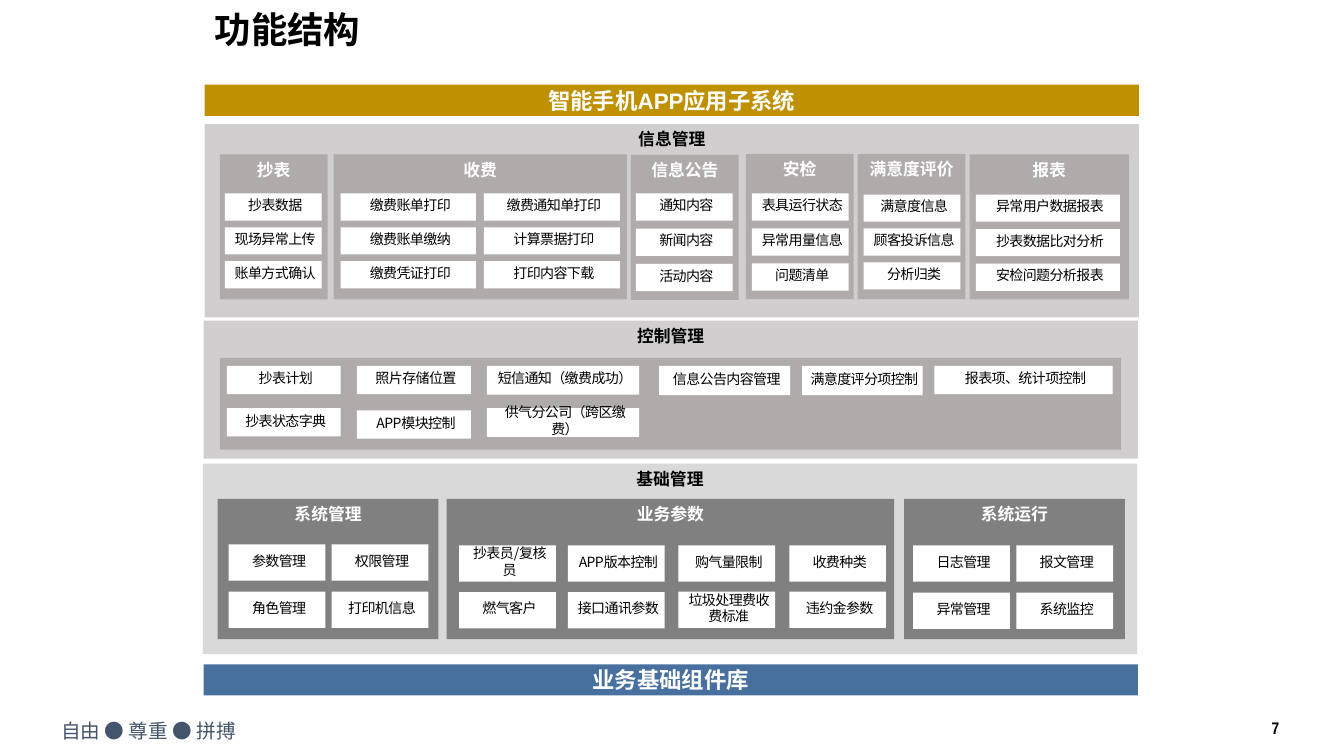
"""Build the function structure slide of a smartphone meter-reading system."""
import pptx
import pptx.util
import pptx.dml.color
import pptx.enum.shapes
import pptx.enum.text
import pptx.oxml.ns
import lxml.etree

Pt = pptx.util.Pt
ALIGN = pptx.enum.text.PP_ALIGN
ANCHOR = pptx.enum.text.MSO_ANCHOR
NOTO = "Noto Sans CJK SC"
COLOURS = {
    "black": "000000", "white": "FFFFFF", "slate": "44546A",
    "gold": "BF9000", "blue": "48709F", "info": "D0CECE",
    "base": "D9D9D9", "group": "AFABAB", "dark": "808080",
}


def write(s, text, size, colour, font=NOTO, bold=False, align=ALIGN.CENTER,
          anchor=ANCHOR.TOP, insets=(7.2, 3.6, 7.2, 3.6), spacing=None):
    tf = s.text_frame
    tf.word_wrap = True
    tf.auto_size = pptx.enum.text.MSO_AUTO_SIZE.NONE
    tf.vertical_anchor = anchor
    tf.margin_left, tf.margin_top, tf.margin_right, tf.margin_bottom = map(Pt, insets)
    p = tf.paragraphs[0]
    p.alignment = align
    r = p.add_run()
    r.text = text
    r.font.size = Pt(size)
    r.font.bold = bold
    r.font.name = font
    r.font.color.rgb = pptx.dml.color.RGBColor.from_string(COLOURS[colour])
    rPr = r.font._element
    ea = lxml.etree.SubElement(rPr, pptx.oxml.ns.qn("a:ea"))
    ea.set("typeface", NOTO)
    if spacing:
        rPr.set("spc", str(spacing))
    return p


def block(x, y, w, h, colour):
    s = slide.shapes.add_shape(pptx.enum.shapes.MSO_SHAPE.RECTANGLE, Pt(x), Pt(y), Pt(w), Pt(h))
    s.shadow.inherit = False
    s.fill.solid()
    s.fill.fore_color.rgb = pptx.dml.color.RGBColor.from_string(COLOURS[colour])
    s.line.fill.background()
    return s


prs = pptx.Presentation()
prs.slide_width, prs.slide_height = Pt(960), Pt(540)
slide = prs.slides.add_slide(prs.slide_layouts[5])

title = slide.shapes.title
title.left, title.top, title.width, title.height = Pt(146.2), Pt(5), Pt(457.2), Pt(42.5)
p = write(title, "功能结构", 26, "black", bold=True, align=ALIGN.LEFT)
p.line_spacing = 0.9
p.space_before = Pt(10)

motto = slide.shapes.add_textbox(Pt(36.7), Pt(509.8), Pt(249.8), Pt(24.5))
write(motto, "自由 ● 尊重 ● 拼搏", 14, "slate", align=ALIGN.LEFT)
number = slide.shapes.add_textbox(Pt(870.5), Pt(511.9), Pt(50.4), Pt(16.6))
write(number, "7", 12, "black", "Arial Narrow", True, ALIGN.RIGHT, ANCHOR.MIDDLE)

bars = [
    ("智能手机APP应用子系统", 146.2, 60.5, "gold", "Arial"),
    ("业务基础组件库", 145.4, 474.5, "blue", NOTO),
]
for text, x, y, colour, font in bars:
    write(block(x, y, 667.4, 22.3, colour), text, 16, "white", font, True, anchor=ANCHOR.MIDDLE)

panels = [
    ("信息管理", 146.2, 88.6, 667.4, 138.2, "info", "black"),
    ("控制管理", 145.4, 229, 667.4, 98.6, "info", "black"),
    ("基础管理", 144.9, 331.2, 667.4, 136.1, "base", "black"),
    ("抄表", 157, 110.2, 77, 103.7, "group", "white"),
    ("收费", 238.3, 110.2, 209.5, 103.7, "group", "white"),
    ("信息公告", 450.7, 110.6, 77, 103.7, "group", "white"),
    ("安检", 532.8, 110, 77, 103.7, "group", "white"),
    ("满意度评价", 612.7, 110, 77, 103.7, "group", "white"),
    ("报表", 692.6, 110.2, 113.8, 103.7, "group", "white"),
    ("", 157, 255.6, 643.7, 65.5, "group", "white"),
    ("系统管理", 155.5, 356.4, 157.7, 100.1, "dark", "white"),
    ("业务参数", 319, 356.4, 319.7, 100.1, "dark", "white"),
    ("系统运行", 645.8, 356.4, 157.7, 100.1, "dark", "white"),
]
for text, x, y, w, h, colour, text_colour in panels:
    s = block(x, y, w, h, colour)
    if text:
        write(s, text, 12, text_colour, "Arial", True)

columns = [
    (160.6, 138.2, 24.2, 69.1, 19.4, ["抄表数据", "现场异常上传", "账单方式确认"]),
    (243.4, 138.2, 24.2, 96.5, 19.4, ["缴费账单打印", "缴费账单缴纳", "缴费凭证打印"]),
    (345.6, 138.2, 24.2, 97.2, 19.4, ["缴费通知单打印", "计算票据打印", "打印内容下载"]),
    (454.3, 138.2, 25.2, 69.1, 19.4, ["通知内容", "新闻内容", "活动内容"]),
    (537.1, 138.2, 25, 69.1, 19.4, ["表具运行状态", "异常用量信息", "问题清单"]),
    (617, 139, 24.2, 69.1, 19.4, ["满意度信息", "顾客投诉信息", "分析归类"]),
    (697, 139, 24.7, 103, 19.4, ["异常用户数据报表", "抄表数据比对分析", "安检问题分析报表"]),
    (162, 261.4, 30.2, 81.4, 20.2, ["抄表计划", "抄表状态字典"]),
    (255, 261.4, 31.7, 81.4, 20.2, ["照片存储位置", "APP模块控制"]),
    (347.8, 261.4, 30.2, 108.7, 20.5, ["短信通知（缴费成功）", "供气分公司（跨区缴费）"]),
    (470.9, 261.4, 0, 93.6, 20.9, ["信息公告内容管理"]),
    (573, 261.4, 0, 86, 20.9, ["满意度评分项控制"]),
    (667.4, 261.4, 0, 127.4, 20.2, ["报表项、统计项控制"]),
    (163.4, 388.8, 33.8, 69.1, 25.9, ["参数管理", "角色管理"]),
    (236.9, 388.8, 33.8, 69.1, 25.9, ["权限管理", "打印机信息"]),
    (328, 389.5, 33.5, 69.1, 25.9, ["抄表员/复核员", "燃气客户"]),
    (405.7, 389.5, 33.5, 69.1, 25.9, ["APP版本控制", "接口通讯参数"]),
    (484.6, 389.5, 33.2, 69.1, 25.9, ["购气量限制", "垃圾处理费收费标准"]),
    (563.8, 389.5, 33.2, 69.1, 25.9, ["收费种类", "违约金参数"]),
    (652.3, 389.5, 33.8, 69.1, 25.9, ["日志管理", "异常管理"]),
    (726, 389.5, 33.8, 69.1, 25.9, ["报文管理", "系统监控"]),
]
for x, top, pitch, w, h, functions in columns:
    for i, text in enumerate(functions):
        s = block(x, top + i * pitch, w, h, "white")
        write(s, text, 10, "black", anchor=ANCHOR.MIDDLE,
              insets=(5.67, 2.83, 2.83, 5.67), spacing=-40)

prs.save("out.pptx")
